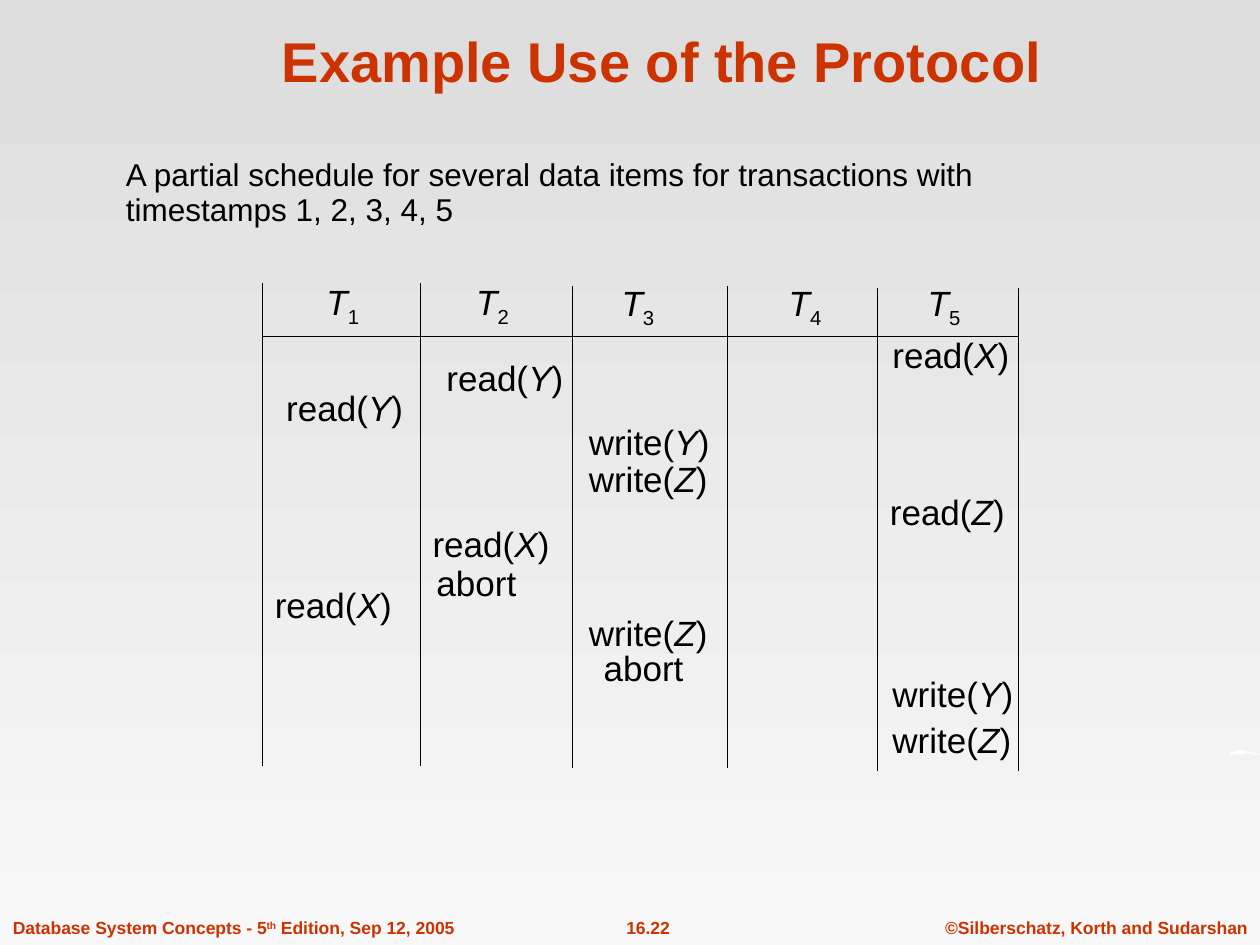
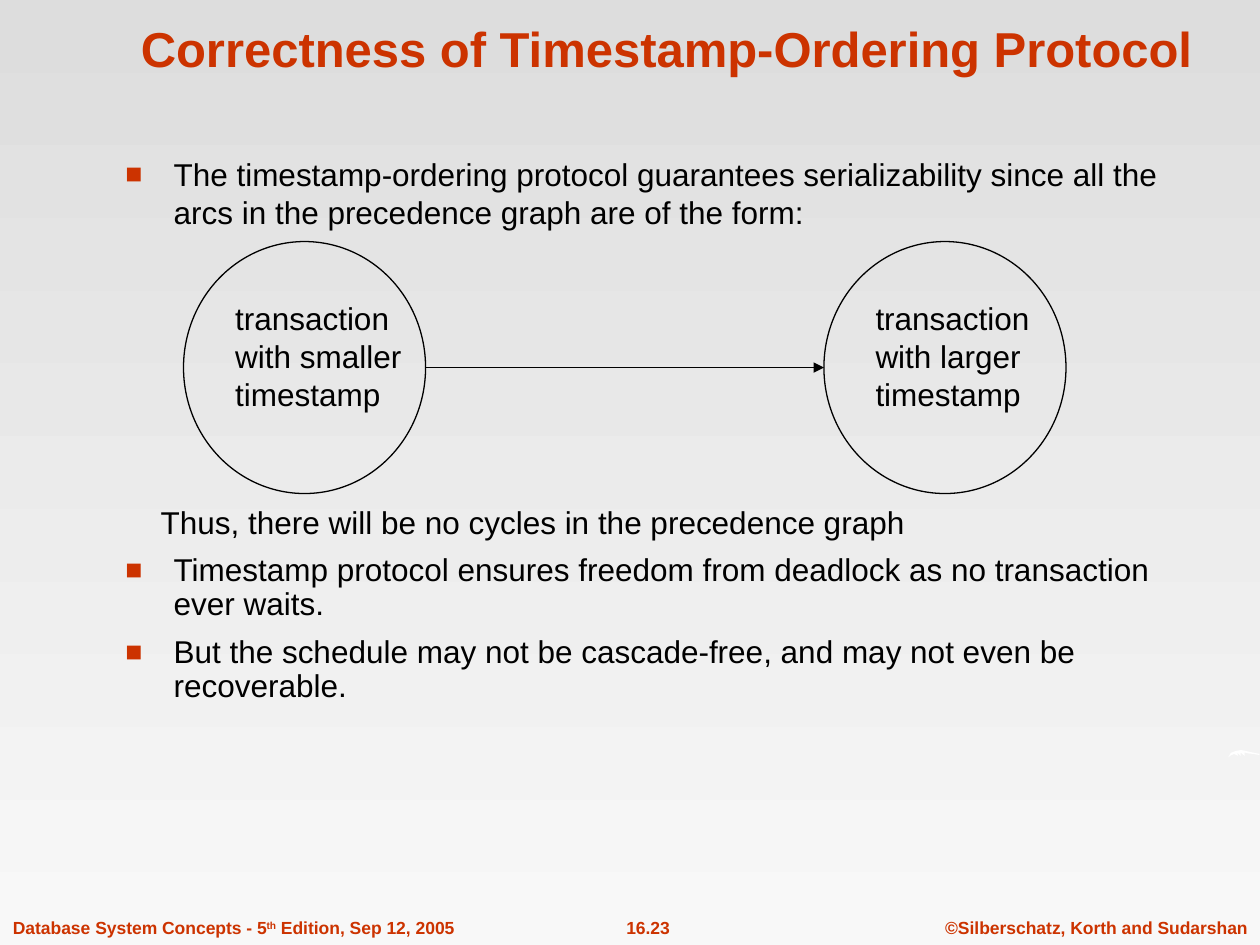
from lxml import etree
from pptx import Presentation
from pptx.dml.color import RGBColor
from pptx.enum.shapes import MSO_CONNECTOR as CONN, MSO_SHAPE as SHAPE
from pptx.enum.text import MSO_ANCHOR as ANCHOR, PP_ALIGN as ALIGN
from pptx.oxml.ns import qn
from pptx.util import Cm, Pt

COLORS = {"accent": "CC3300", "ink": "000000", "swoosh": "FFFFFF",
          "bg_top": "DDDDDD", "bg_bottom": "F8F8F8"}
FONT = "Arial"
STYLES = {
    "title": ("accent", {"size": Pt(32), "bold": True}),
    "long_title": ("accent", {"size": Pt(28), "bold": True}),
    "footer": ("accent", {"size": Pt(10), "bold": True}),
    "body": ("ink", {"size": Pt(18)}),
    "cell": ("ink", {"size": Pt(20)}),
}
ITALIC = {"italic": True}
GAP = {"space_before": Pt(7.9)}


def rgb(name):
    return RGBColor.from_string(COLORS[name])


def set_all(target, values):
    for name, value in values.items():
        setattr(target, name, value)


# Basic parts: lengths are in centimetres
def add_text(s, box, paras, style, align=ALIGN.LEFT, anchor=ANCHOR.TOP):
    """Each paragraph is a string or a list of (text, font values, baseline)."""
    color, font = STYLES[style]
    tf = s.shapes.add_textbox(*map(Cm, box)).text_frame
    set_all(tf, {"word_wrap": True, "vertical_anchor": anchor})
    for i, runs in enumerate(paras):
        p = tf.add_paragraph() if i else tf.paragraphs[0]
        p.alignment = align
        for text, extra, baseline in [(runs, {}, 0)] if isinstance(runs, str) else runs:
            r = p.add_run()
            r.text = text
            set_all(r.font, {"name": FONT, **font, **extra})
            r.font.color.rgb = rgb(color)
            if baseline:
                r._r.get_or_add_rPr().set("baseline", str(baseline * 1000))
    return tf.paragraphs


def add_bullet(p):
    pPr = p._p.get_or_add_pPr()
    pPr.set("marL", str(Cm(0.97)))
    pPr.set("indent", str(-Cm(0.97)))
    clr = etree.SubElement(pPr, qn("a:buClr"))
    etree.SubElement(clr, qn("a:srgbClr"), val=COLORS["accent"])
    etree.SubElement(pPr, qn("a:buSzPct"), val="90000")
    etree.SubElement(pPr, qn("a:buFont"), typeface=FONT)
    etree.SubElement(pPr, qn("a:buChar"), char="■")


def add_line(s, x1, y1, x2, y2, arrow=False):
    line = s.shapes.add_connector(CONN.STRAIGHT, *map(Cm, (x1, y1, x2, y2)))
    line.line.color.rgb = rgb("ink")
    line.line.width = Pt(0.75)
    if arrow:
        etree.SubElement(line.line._get_or_add_ln(), qn("a:tailEnd"), type="triangle")
    etree.SubElement(line._element.spPr, qn("a:effectLst"))


# Shared frame: background, swoosh, footers, title
SWOOSH = [(0, 0.15), (0.05, 0.06), (0.15, 0.02), (0.26, 0), (0.36, 0.02),
          (0.49, 0.05), (0.64, 0.08), (0.62, 0.1), (0.51, 0.08), (0.41, 0.07),
          (0.33, 0.05), (0.33, 0.12), (0.25, 0.05), (0.25, 0.12), (0.18, 0.05),
          (0.2, 0.12), (0.12, 0.08), (0.05, 0.11)]


def add_swoosh(s, x, y):
    points = [(Cm(x + dx), Cm(y + dy)) for dx, dy in SWOOSH]
    outline = s.shapes.build_freeform(*points[0])
    outline.add_line_segments(points[1:], close=True)
    sp = outline.convert_to_shape()
    sp.shadow.inherit = False
    sp.fill.solid()
    sp.fill.fore_color.rgb = rgb("swoosh")
    sp.line.fill.background()


def add_footers(s, page, y=18.37, h=0.68):
    edition = [("Database System Concepts - 5", {}, 0), ("th", {}, 30),
               (" Edition, Sep 12, 2005", {}, 0)]
    for x, w, content, align in [
            (15.4, 10, "©Silberschatz, Korth and Sudarshan", ALIGN.RIGHT),
            (11.72, 2.69, page, ALIGN.CENTER),
            (0.01, 11, edition, ALIGN.LEFT)]:
        add_text(s, (x, y, w, h), [content], "footer", align)


def new_slide(prs, page, title, title_box, title_style):
    s = prs.slides.add_slide(prs.slide_layouts[6])
    fill = s.background.fill
    fill.gradient()
    fill.gradient_angle = 270
    for stop, name in zip(fill.gradient_stops, ("bg_top", "bg_bottom")):
        stop.color.rgb = rgb(name)
    add_footers(s, page)
    add_swoosh(s, 24.76, 15.12)
    add_text(s, title_box, [title], title_style, ALIGN.CENTER, ANCHOR.BOTTOM)
    return s


# Slide 16.22: schedule of five transactions
RULES = [0, 3.18, 6.25, 9.37, 12.4, 15.24]
HEADER_OFFSETS = [1.04, 0.88, 0.74, 0.99, 0.76]
STEPS = [  # transaction, offset from its left rule, top, operation, data item
    (5, 0.05, 0.89, "read", "X"),
    (2, 0.28, 1.35, "read", "Y"),
    (1, 0.23, 1.96, "read", "Y"),
    (3, 0.08, 2.64, "write", "Y"),
    (3, 0.08, 3.38, "write", "Z"),
    (5, 0, 4.06, "read", "Z"),
    (2, 0, 4.7, "read", "X"),
    (2, 0.08, 5.49, "abort", None),
    (1, 0, 5.92, "read", "X"),
    (3, 0.08, 6.5, "write", "Z"),
    (3, 0.38, 7.19, "abort", None),
    (5, 0.05, 7.72, "write", "Y"),
    (5, 0.05, 8.64, "write", "Z"),
]


def add_schedule(s, x, y, rule_height):
    for i, dx in enumerate(RULES):
        top = y + i // 2 * 0.05
        add_line(s, x + dx, top, x + dx, top + rule_height)
    add_line(s, x, y + 1.07, x + RULES[-1], y + 1.07)

    for i, offset in enumerate(HEADER_OFFSETS):
        top = y - (0.18 if i < 2 else 0.15)
        add_text(s, (x + RULES[i] + offset, top, 1.5, 1.22),
                 [[("T", ITALIC, 0), (str(i + 1), {}, -25)]], "cell")

    for number, offset, dy, operation, item in STEPS:
        runs = operation
        if item:
            runs = [(operation + "(", {}, 0), (item, ITALIC, 0), (")", {}, 0)]
        add_text(s, (x + RULES[number - 1] + offset, y + dy, 3.3, 1.12),
                 [runs], "cell")


def build_example(prs):
    s = new_slide(prs, "16.22", "Example Use of the Protocol",
                  (2.13, 0.31, 22.43, 1.7), "title")
    intro = add_text(s, (2.29, 3, 22.76, 2), [
        "A partial schedule for several data items for transactions with",
        "timestamps 1, 2, 3, 4, 5"], "body")
    set_all(intro[1], {"line_spacing": 0.5, **GAP})
    add_schedule(s, 5.29, 5.71, 9.73)


# Slide 16.23: arc of the precedence graph
def add_precedence_arc(s, x, y, w, h, node_width):
    for left, order in [(x, "smaller"), (x + w - node_width, "larger")]:
        sp = s.shapes.add_shape(SHAPE.OVAL, *map(Cm, (left, y, node_width, h)))
        sp.shadow.inherit = False
        sp.fill.background()
        sp.line.color.rgb = rgb("ink")
        sp.line.width = Pt(0.75)
        add_text(s, (left + 0.79, y + 1.04, 4, 2.54),
                 ["transaction", f"with {order}", "timestamp"], "body")
    middle = y + h / 2
    add_line(s, x + node_width, middle, x + w - node_width, middle, arrow=True)


def build_correctness(prs):
    s = new_slide(prs, "16.23", "Correctness of Timestamp-Ordering Protocol",
                  (1.47, -0.02, 23.93, 1.7), "long_title")
    claim = add_text(s, (2.28, 3, 21.92, 1.9), [
        "The timestamp-ordering protocol guarantees serializability since all "
        "the arcs in the precedence graph are of the form:"], "body")
    add_bullet(claim[0])
    add_precedence_arc(s, 3.7, 4.87, 17.79, 5.08, 4.88)

    thus, *results = add_text(s, (2.28, 10.01, 21.92, 4.5), [
        "Thus, there will be no cycles in the precedence graph",
        "Timestamp protocol ensures freedom from deadlock as no transaction "
        "ever waits.",
        "But the schedule may not be cascade-free, and may not even be "
        "recoverable."], "body")
    thus._p.get_or_add_pPr().set("marL", str(Cm(0.71)))
    for p in results:
        add_bullet(p)
        set_all(p, {"line_spacing": 0.9, **GAP})


def main():
    prs = Presentation()
    set_all(prs, {"slide_width": Cm(25.4), "slide_height": Cm(19.05)})
    build_example(prs)
    build_correctness(prs)
    prs.save("out.pptx")


if __name__ == "__main__":
    main()
